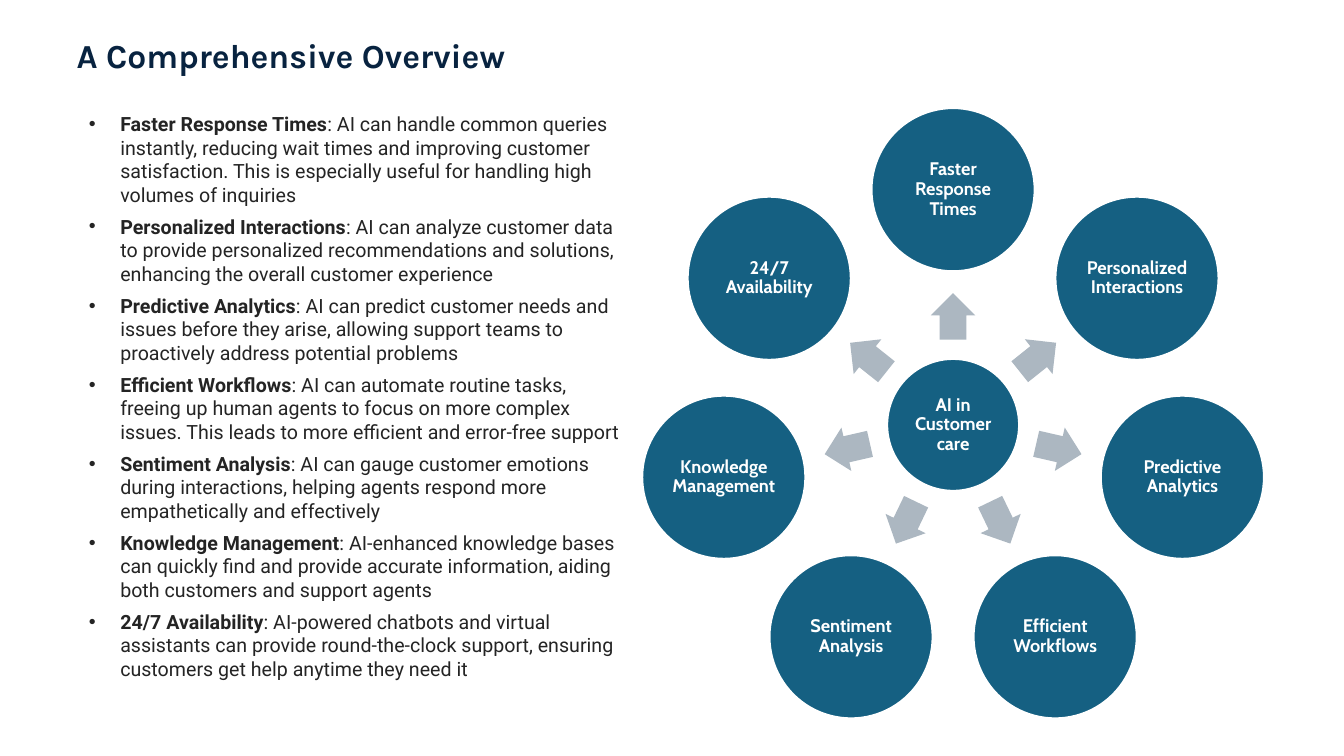
import math
from dataclasses import dataclass

import pptx
import pptx.dml.color
import pptx.enum.shapes
import pptx.enum.text
import pptx.util

Pt = pptx.util.Pt
ShapeKind = pptx.enum.shapes.MSO_SHAPE
Align = pptx.enum.text.PP_ALIGN
Anchor = pptx.enum.text.MSO_ANCHOR
AutoSize = pptx.enum.text.MSO_AUTO_SIZE


@dataclass(frozen=True)
class Theme:
    title_color: str = "082340"
    body_color: str = "242424"
    circle_color: str = "156082"
    arrow_color: str = "ACB7C1"
    white: str = "FFFFFF"
    title_font: str = "Karla"
    body_font: str = "Roboto"
    label_font: str = "Cabin"
    title_size: float = 24
    body_size: float = 14
    label_size: float = 13


@dataclass(frozen=True)
class Benefit:
    name: str
    detail: str


@dataclass(frozen=True)
class Wheel:
    center_x: float = 680.8
    center_y: float = 303.5
    circle_radius: float = 168
    arrow_radius: float = 77.5
    hub_size: float = 94.3
    circle_size: float = 116.6
    arrow_width: float = 33.2
    arrow_height: float = 31.8

    def point(self, radius: float, angle: float) -> tuple[float, float]:
        turn = math.radians(angle)
        return (self.center_x + radius * math.cos(turn),
                self.center_y + radius * math.sin(turn))


THEME = Theme()
WHEEL = Wheel()
BENEFITS = [
    Benefit("Faster Response Times",
            "AI can handle common queries instantly, reducing wait times and improving customer "
            "satisfaction. This is especially useful for handling high volumes of inquiries"),
    Benefit("Personalized Interactions",
            "AI can analyze customer data to provide personalized recommendations and solutions, "
            "enhancing the overall customer experience"),
    Benefit("Predictive Analytics",
            "AI can predict customer needs and issues before they arise, allowing support teams "
            "to proactively address potential problems"),
    Benefit("Efficient Workflows",
            "AI can automate routine tasks, freeing up human agents to focus on more complex "
            "issues. This leads to more efficient and error-free support"),
    Benefit("Sentiment Analysis",
            "AI can gauge customer emotions during interactions, helping agents respond more "
            "empathetically and effectively"),
    Benefit("Knowledge Management",
            "AI-enhanced knowledge bases can quickly find and provide accurate information, "
            "aiding both customers and support agents"),
    Benefit("24/7 Availability",
            "AI-powered chatbots and virtual assistants can provide round-the-clock support, "
            "ensuring customers get help anytime they need it"),
]


def apply(target, values: dict) -> None:
    for name, value in values.items():
        setattr(target, name, value)


def rgb(color: str):
    return pptx.dml.color.RGBColor.from_string(color)


def place(box, left: float, top: float, width: float, height: float) -> None:
    apply(box, dict(left=Pt(left), top=Pt(top), width=Pt(width), height=Pt(height)))


def add_span(para, text: str, font: str, size: float, color: str, bold: bool = True) -> None:
    span = para.add_run()
    span.text = text
    apply(span.font, dict(name=font, size=Pt(size), bold=bold))
    span.font.color.rgb = rgb(color)


def add_shape(group, kind, center: tuple[float, float], width: float, height: float,
              color: str):
    shape = group.shapes.add_shape(kind, Pt(center[0] - width / 2), Pt(center[1] - height / 2),
                                   Pt(width), Pt(height))
    shape.shadow.inherit = False
    shape.fill.solid()
    shape.fill.fore_color.rgb = rgb(color)
    return shape


def add_circle(group, label: str, center: tuple[float, float], size: float) -> None:
    circle = add_shape(group, ShapeKind.OVAL, center, size, size, THEME.circle_color)
    circle.line.color.rgb = rgb(THEME.white)
    circle.line.width = Pt(1.5)
    inset = Pt(1.3)
    apply(circle.text_frame, dict(
        word_wrap=True, vertical_anchor=Anchor.MIDDLE, margin_left=inset,
        margin_right=inset, margin_top=inset, margin_bottom=inset))
    para = circle.text_frame.paragraphs[0]
    apply(para, dict(alignment=Align.CENTER, line_spacing=0.9))
    add_span(para, label, THEME.label_font, THEME.label_size, THEME.white)


def add_arrow(group, angle: float) -> None:
    arrow = add_shape(group, ShapeKind.RIGHT_ARROW, WHEEL.point(WHEEL.arrow_radius, angle),
                      WHEEL.arrow_width, WHEEL.arrow_height, THEME.arrow_color)
    arrow.line.fill.background()
    arrow.adjustments[0] = 0.6
    arrow.adjustments[1] = 0.5
    arrow.rotation = angle % 360


def fill_title(box) -> None:
    place(box, 54.7, 28, 347, 43)
    apply(box.text_frame, dict(
        word_wrap=True, auto_size=AutoSize.NONE, vertical_anchor=Anchor.TOP,
        margin_left=0, margin_top=0))
    para = box.text_frame.paragraphs[0]
    apply(para, dict(alignment=Align.LEFT, line_spacing=0.9))
    add_span(para, "A Comprehensive Overview", THEME.title_font, THEME.title_size,
             THEME.title_color)


def fill_body(box) -> None:
    place(box, 56.2, 76.3, 399.6, 440)
    frame = box.text_frame
    apply(frame, dict(word_wrap=True, auto_size=AutoSize.SHAPE_TO_FIT_TEXT,
                      vertical_anchor=Anchor.TOP))
    for index, benefit in enumerate(BENEFITS):
        para = frame.add_paragraph() if index else frame.paragraphs[0]
        apply(para, dict(space_before=Pt(6), line_spacing=1.0))
        # Hanging indent for the template's bullet
        properties = para._p.get_or_add_pPr()
        properties.set("marL", str(Pt(22.5)))
        properties.set("indent", str(-Pt(22.5)))
        for text, bold in ((benefit.name, True), (f": {benefit.detail}", False)):
            add_span(para, text, THEME.body_font, THEME.body_size, THEME.body_color, bold)


def draw_wheel(page) -> None:
    group = page.shapes.add_group_shape()
    add_circle(group, "AI in Customer care", (WHEEL.center_x, WHEEL.center_y), WHEEL.hub_size)
    for index, benefit in enumerate(BENEFITS):
        angle = -90 + index * 360 / len(BENEFITS)
        add_arrow(group, angle)
        add_circle(group, benefit.name, WHEEL.point(WHEEL.circle_radius, angle),
                   WHEEL.circle_size)


def main() -> None:
    deck = pptx.Presentation()
    apply(deck, dict(slide_width=Pt(960), slide_height=Pt(540)))
    page = deck.slides.add_slide(deck.slide_layouts[1])
    # Title and list
    fill_title(page.shapes.title)
    fill_body(page.placeholders[1])
    # Hub with circles around it
    draw_wheel(page)
    deck.save("out.pptx")


if __name__ == "__main__":
    main()
